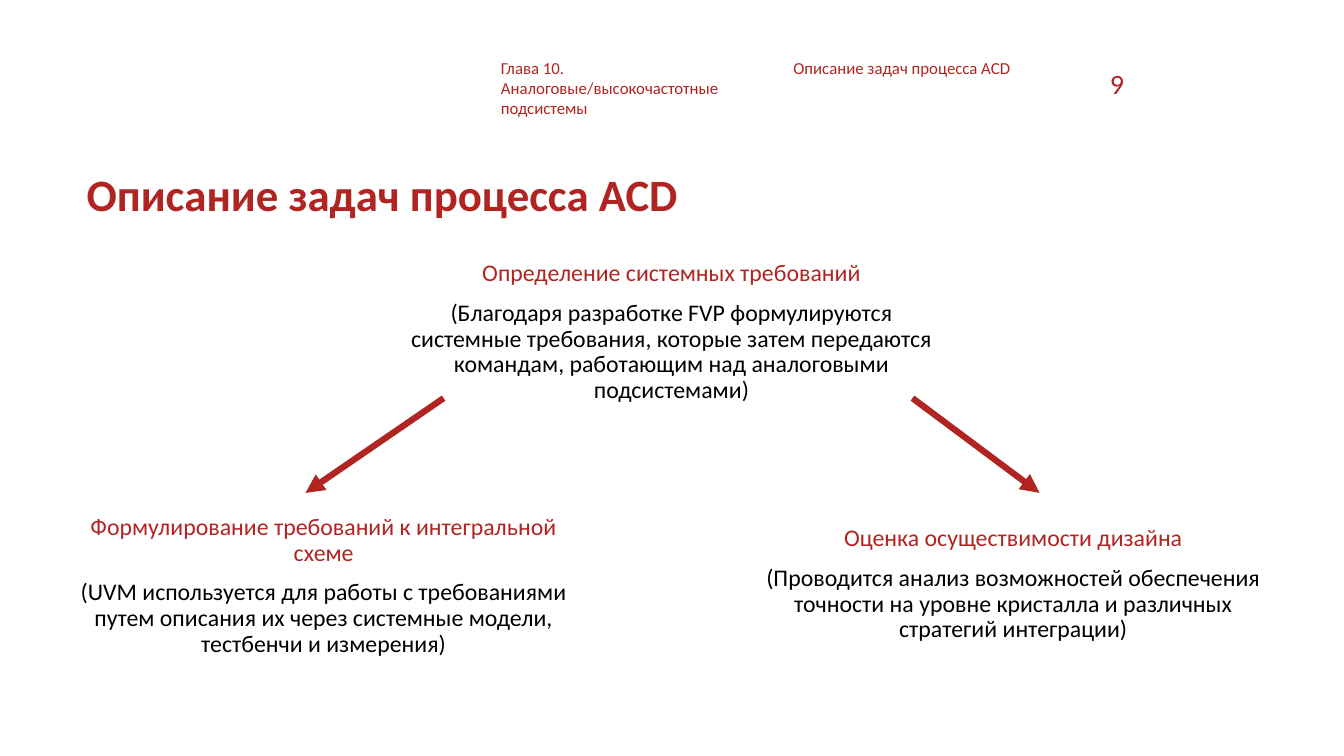
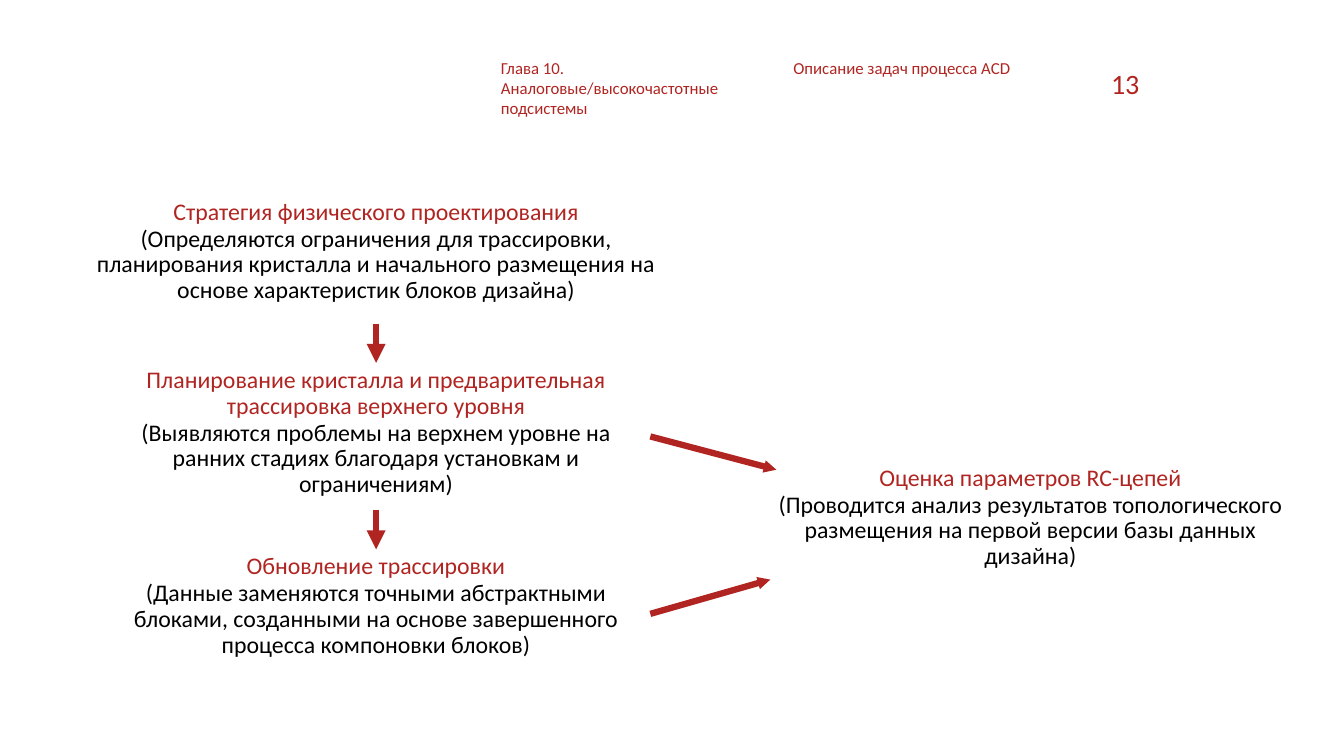
"""Build two slides on the tasks of the ACD process."""
import pptx
import pptx.dml.color
import pptx.enum.shapes
import pptx.enum.text
import pptx.oxml
import pptx.oxml.ns
import pptx.util

PX = pptx.util.Inches(1) // 100
RED, BLACK = "B02521", "000000"
FONT = "Calibri"
CENTER = pptx.enum.text.PP_ALIGN.CENTER
RIGHT = pptx.enum.text.PP_ALIGN.RIGHT
MIDDLE = {"vertical_anchor": pptx.enum.text.MSO_ANCHOR.MIDDLE}
GROW = {"auto_size": pptx.enum.text.MSO_AUTO_SIZE.SHAPE_TO_FIT_TEXT}


def add_text(slide, box, paragraphs, frame_format):
    """Add a text box of (text, size, color, bold, paragraph format) entries."""
    frame = slide.shapes.add_textbox(*(length * PX for length in box)).text_frame
    for name, value in {"word_wrap": True, **frame_format}.items():
        setattr(frame, name, value)
    for index, (text, size, color, bold, paragraph_format) in enumerate(paragraphs):
        paragraph = frame.add_paragraph() if index else frame.paragraphs[0]
        for name, value in paragraph_format.items():
            setattr(paragraph, name, value)
        run = paragraph.add_run()
        run.text = text
        font_format = {"name": FONT, "size": pptx.util.Pt(size), "bold": bold}
        for name, value in font_format.items():
            setattr(run.font, name, value)
        run.font.color.rgb = pptx.dml.color.RGBColor.from_string(color)


def add_arrow(slide, ends, head_size):
    """Add a red arrow that points at the second end."""
    arrow = slide.shapes.add_connector(
        pptx.enum.shapes.MSO_CONNECTOR.STRAIGHT, *(length * PX for length in ends))
    arrow.line.width = pptx.util.Pt(4.5)
    arrow.line.color.rgb = pptx.dml.color.RGBColor.from_string(RED)
    namespace = pptx.oxml.ns.nsdecls("a")
    arrow.line._get_or_add_ln().append(pptx.oxml.parse_xml(
        f'<a:tailEnd {namespace} type="triangle" w="{head_size}" len="{head_size}"/>'))
    arrow._element.spPr.append(pptx.oxml.parse_xml(f"<a:effectLst {namespace}/>"))


TOPIC = "Описание задач процесса ACD"
HEADERS = [
    ((487, 52, 263, 71), "Глава 10. Аналоговые/высокочастотные подсистемы"),
    ((777, 52, 263, 30), TOPIC),
]
CENTERED = {"alignment": CENTER, "line_spacing": 0.9}
TIGHT = {**CENTERED, "space_before": pptx.util.Pt(1)}

PAGES = [
    {
        "number": ("9", 56, {}),
        "title": TOPIC,
        "heading_format": CENTERED,
        "detail_format": {**CENTERED, "space_before": pptx.util.Pt(10)},
        "tasks": [
            ((394, 254, 544, 169), "Определение системных требований",
             "(Благодаря разработке FVP формулируются системные требования, которые "
             "затем передаются командам, работающим над аналоговыми подсистемами)"),
            ((49, 506, 544, 169), "Формулирование требований к интегральной схеме",
             "(UVM используется для работы с требованиями путем описания их через "
             "системные модели, тестбенчи и измерения)"),
            ((733, 517, 544, 169), "Оценка осуществимости дизайна",
             "(Проводится анализ возможностей обеспечения точности на уровне "
             "кристалла и различных стратегий интеграции)"),
        ],
        "arrows": [
            ((440, 395, 303, 489), "med"),
            ((905, 395, 1031, 489), "med"),
        ],
    },
    {
        "number": ("13", 49, {"alignment": RIGHT}),
        "title": None,
        "heading_format": TIGHT,
        "detail_format": {**TIGHT, "space_after": pptx.util.Pt(1)},
        "tasks": [
            ((64, 193, 618, 127), "Стратегия физического проектирования",
             "(Определяются ограничения для трассировки, планирования кристалла и "
             "начального размещения на основе характеристик блоков дизайна)"),
            ((101, 360, 544, 146),
             "Планирование кристалла и предварительная трассировка верхнего уровня",
             "(Выявляются проблемы на верхнем уровне на ранних стадиях благодаря "
             "установкам и ограничениям)"),
            ((101, 545, 544, 127), "Обновление трассировки",
             "(Данные заменяются точными абстрактными блоками, созданными на основе "
             "завершенного процесса компоновки блоков)"),
            ((750, 457, 544, 127), "Оценка параметров RC-цепей",
             "(Проводится анализ результатов топологического размещения на первой "
             "версии базы данных дизайна)"),
        ],
        "arrows": [
            ((373, 321, 373, 360), "med"),
            ((373, 506, 373, 545), "med"),
            ((645, 433, 770, 466), "sm"),
            ((645, 609, 764, 575), "sm"),
        ],
    },
]

deck = pptx.Presentation()
deck.slide_width, deck.slide_height = 1333 * PX, 750 * PX

for page in PAGES:
    slide = deck.slides.add_slide(deck.slide_layouts[6])
    if page["title"]:
        add_text(slide, (76, 148, 728, 95),
                 [(page["title"], 32, RED, True, {"line_spacing": 0.9})], MIDDLE)
    for box, header in HEADERS:
        add_text(slide, box, [(header, 12, RED, False, {})], GROW)
    number, width, number_format = page["number"]
    add_text(slide, (1091, 63, width, 40),
             [(number, 20, RED, False, number_format)], MIDDLE)
    for box, heading, detail in page["tasks"]:
        add_text(slide, box, [
            (heading, 17, RED, False, page["heading_format"]),
            (detail, 17, BLACK, False, page["detail_format"]),
        ], {})
    for ends, head_size in page["arrows"]:
        add_arrow(slide, ends, head_size)

deck.save("out.pptx")
